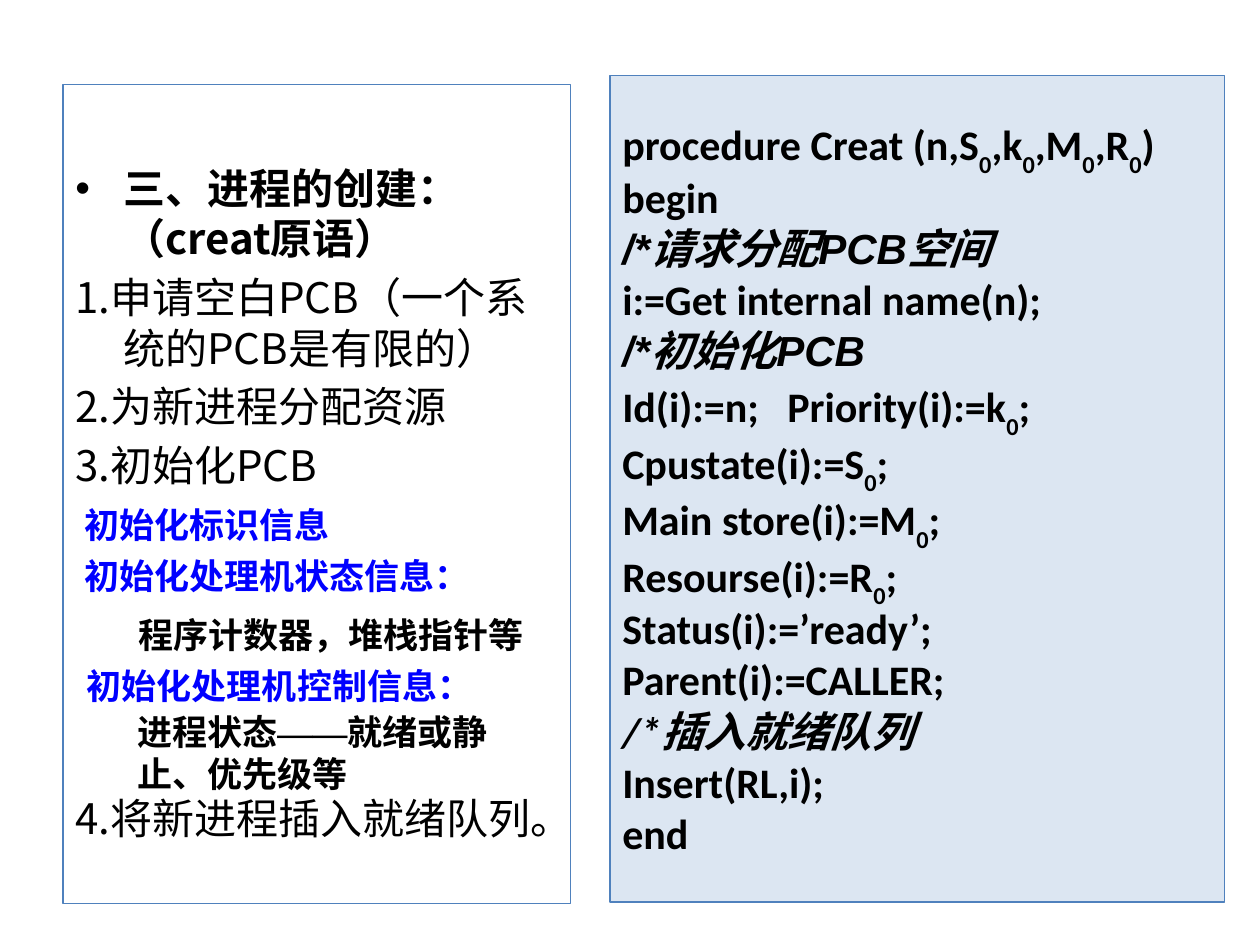
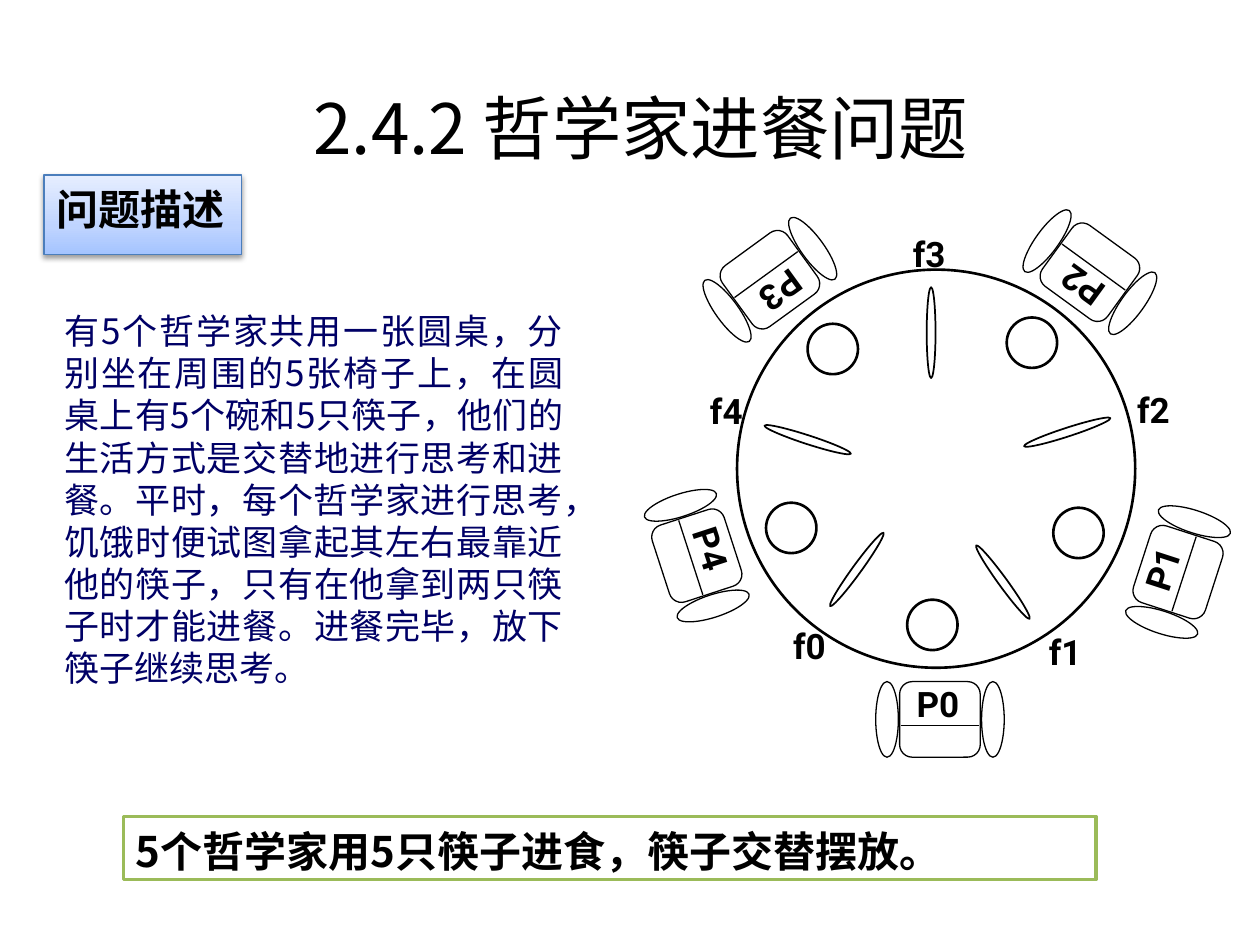
"""Build two operating-system slides: process creation and the dining philosophers."""
import copy
import math

import pptx
import pptx.dml.color
import pptx.enum.shapes
import pptx.enum.text
import pptx.oxml.ns
import pptx.util
from lxml import etree

Inches = pptx.util.Inches
Pt = pptx.util.Pt
RGBColor = pptx.dml.color.RGBColor
SHAPES = pptx.enum.shapes.MSO_SHAPE
ALIGN = pptx.enum.text.PP_ALIGN
qn = pptx.oxml.ns.qn

BLACK = RGBColor(0x00, 0x00, 0x00)
WHITE = RGBColor(0xFF, 0xFF, 0xFF)
BLUE = RGBColor(0x00, 0x00, 0xFF)
NAVY = RGBColor(0x00, 0x00, 0x66)
PANEL_LINE = RGBColor(0x4F, 0x81, 0xBD)
PANEL_FILL = RGBColor(0xDC, 0xE6, 0xF2)
TAG_LINE = RGBColor(0x4B, 0x7E, 0xBC)
NOTE_LINE = RGBColor(0x9B, 0xBB, 0x59)
TAG_STOPS = [
    (0, RGBColor(0xA4, 0xC4, 0xFF)),
    (0.35, RGBColor(0xBF, 0xD4, 0xFF)),
    (1, RGBColor(0xE6, 0xEE, 0xFF)),
]

CJK_FONT = "Noto Sans CJK SC"
CODE_FONT = "Calibri"
LABEL_FONT = "Roboto"
PITCH = 1.2
STEP = 72

CREATE_STEPS = [
    ("三、进程的创建：（creat原语）", 0),
    ("1.申请空白PCB（一个系统的PCB是有限的）", 4.8),
    ("2.为新进程分配资源", 4.8),
    ("3.初始化PCB", 4.8),
    ("4.将新进程插入就绪队列。", 172.7),
]
CODE_LINES = [
    "procedure Creat (n,S_0,k_0,M_0,R_0)",
    "begin",
    "/*请求分配PCB空间",
    "i:=Get internal name(n);",
    "/*初始化PCB",
    "Id(i):=n;\tPriority(i):=k_0;",
    "Cpustate(i):=S_0;",
    "Main store(i):=M_0;",
    "Resourse(i):=R_0;",
    "Status(i):=’ready’;",
    "Parent(i):=CALLER;",
    "/*插入就绪队列",
    "Insert(RL,i);",
    "end",
]
PROBLEM = (
    "有5个哲学家共用一张圆桌，分别坐在周围的5张椅子上，在圆桌上有5个碗和5只筷子，"
    "他们的生活方式是交替地进行思考和进餐。平时，每个哲学家进行思考，"
    "饥饿时便试图拿起其左右最靠近他的筷子，只有在他拿到两只筷子时才能进餐。"
    "进餐完毕，放下筷子继续思考。"
)
SEATS = [(7.46, 5.71), (9.35, 4.54), (8.65, 2.16), (6.11, 2.22), (5.53, 4.41)]
BOWLS = [(7.4, 4.96), (8.56, 4.23), (8.19, 2.72), (6.61, 2.77), (6.28, 4.19)]
CHOPSTICKS = [(6.8, 4.52), (7.96, 4.62), (8.47, 3.43), (7.39, 2.64), (6.41, 3.49)]
CHOPSTICK_LABELS = [(6.45, 5.12), (8.48, 5.17), (9.18, 3.25), (7.4, 2.01), (5.79, 3.26)]


def set_frame(shape, side=0.1, top=0.07):
    """Prepare a wrapped, top-anchored text frame."""
    frame = shape.text_frame
    frame.word_wrap = True
    frame.auto_size = pptx.enum.text.MSO_AUTO_SIZE.NONE
    frame.vertical_anchor = pptx.enum.text.MSO_ANCHOR.TOP
    frame.margin_left = frame.margin_right = Inches(side)
    frame.margin_top = Inches(top)
    frame.margin_bottom = 0
    return frame


def add_paragraph(frame, align=ALIGN.LEFT, before=0, spacing=None):
    """Return the next paragraph, using the first one while it is empty."""
    paragraph = frame.paragraphs[0]
    if paragraph.runs:
        paragraph = frame.add_paragraph()
    paragraph.alignment = align
    paragraph.space_before = Pt(before)
    paragraph.line_spacing = spacing
    return paragraph


def add_run(paragraph, text, size, color=BLACK, bold=True, font=CJK_FONT):
    """Add one formatted run, naming the East Asian font where it matters."""
    run = paragraph.add_run()
    run.text = text
    run.font.size = Pt(size)
    run.font.name = font
    run.font.bold = bold
    run.font.color.rgb = color
    if font not in (CODE_FONT, "Arial"):
        etree.SubElement(run.font._element, qn("a:ea")).set("typeface", font)
    return run


def add_cjk(frame, text, size, color=BLACK, bold=True, align=ALIGN.LEFT, before=0):
    """Add a Chinese paragraph with a fixed line pitch."""
    paragraph = add_paragraph(frame, align, before, Pt(size * PITCH))
    add_run(paragraph, text, size, color, bold)
    return paragraph


def add_text(slide, left, top, width, height, **insets):
    """Add a text box and return its frame."""
    box = slide.shapes.add_textbox(*map(Inches, (left, top, width, height)))
    return set_frame(box, **insets)


def add_box(slide, left, top, width, height, line, weight=0.75, fill=None, kind=SHAPES.RECTANGLE):
    """Add an outlined shape without a shadow."""
    box = slide.shapes.add_shape(kind, *map(Inches, (left, top, width, height)))
    box.shadow.inherit = False
    box.line.color.rgb = line
    box.line.width = Pt(weight)
    if fill is None:
        box.fill.background()
    else:
        box.fill.solid()
        box.fill.fore_color.rgb = fill
    return box


def add_centred(slide, centre, width, height, weight=0.75, angle=0, kind=SHAPES.OVAL):
    """Add a black outline around a centre point, turned by an angle."""
    x, y = centre
    outline = add_box(slide, x - width / 2, y - height / 2, width, height, BLACK, weight, kind=kind)
    outline.rotation = angle
    return outline


def add_label(slide, centre, text, width, angle=0):
    """Add a short bold label around a centre point."""
    x, y = centre
    height = 0.43
    box = slide.shapes.add_textbox(*map(Inches, (x - width / 2, y - height / 2, width, height)))
    box.rotation = angle
    add_run(add_paragraph(set_frame(box, side=0.06, top=0.05)), text, 20, font=LABEL_FONT)


def add_chair(slide, centre, angle, name):
    """Draw a chair with two arms, a back line and its philosopher."""
    cos, sin = math.cos(math.radians(angle)), math.sin(math.radians(angle))

    def place(dx, dy):
        """Turn an offset from the seat centre into a slide position."""
        return centre[0] + dx * cos - dy * sin, centre[1] + dx * sin + dy * cos

    add_centred(slide, centre, 0.64, 0.6, angle=angle, kind=SHAPES.ROUNDED_RECTANGLE)
    for side in (0.42, -0.42):
        add_centred(slide, place(side, 0), 0.18, 0.6, angle=angle)
    ends = map(Inches, place(-0.31, 0.05) + place(0.31, 0.05))
    back = slide.shapes.add_connector(pptx.enum.shapes.MSO_CONNECTOR.STRAIGHT, *ends)
    back.line.color.rgb = BLACK
    back.line.width = Pt(0.75)
    etree.SubElement(back._element.spPr, qn("a:effectLst"))
    add_label(slide, place(0, -0.13), name, 0.49, angle)


def add_code_line(frame, line, before):
    """Add a line of pseudocode; an underscore marks a subscript digit."""
    comment = line.startswith("/*")
    font = "Arial" if comment and "PCB" in line else CODE_FONT
    paragraph = add_paragraph(frame, ALIGN.JUSTIFY, before, 0.6)
    head, *tails = line.split("_")
    add_run(paragraph, head, 24, font=font).font.italic = comment
    for tail in tails:
        subscript = add_run(paragraph, tail[0], 24, font=font)
        subscript.font._element.set("baseline", "-30000")
        if tail[1:]:
            add_run(paragraph, tail[1:], 24, font=font)
    if "\t" in line:
        stops = etree.SubElement(paragraph._p.get_or_add_pPr(), qn("a:tabLst"))
        etree.SubElement(stops, qn("a:tab"), pos=str(Inches(1.31)), algn="l")


def add_tag(slide, text):
    """Add the shaded heading tag with its gradient and soft shadow."""
    tag = add_box(slide, 0.35, 1.39, 1.57, 0.63, TAG_LINE)
    tag.fill.gradient()
    tag.fill.gradient_angle = 90
    properties = tag._element.spPr
    stops = properties.find(".//" + qn("a:gsLst"))
    stops.insert(1, copy.deepcopy(stops[0]))
    for stop, (position, color) in zip(tag.fill.gradient_stops, TAG_STOPS):
        stop.position = position
        stop.color.rgb = color
    shadow = etree.SubElement(
        properties.find(qn("a:effectLst")), qn("a:outerShdw"),
        blurRad=str(Pt(3.1)), dist=str(Pt(1.6)), dir="5400000", rotWithShape="0")
    shade = etree.SubElement(shadow, qn("a:srgbClr"), val=str(BLACK))
    etree.SubElement(shade, qn("a:alpha"), val="38000")
    add_cjk(set_frame(tag), text, 24)


def build_creation(presentation):
    """Build the slide on process creation and its pseudocode."""
    slide = presentation.slides.add_slide(presentation.slide_layouts[6])
    steps = set_frame(add_box(slide, 0.5, 0.67, 4.03, 6.5, PANEL_LINE), top=0.62)
    for number, (text, before) in enumerate(CREATE_STEPS):
        paragraph = add_cjk(steps, text, 24, bold=number == 0, before=before)
        properties = paragraph._p.get_or_add_pPr()
        properties.set("marL", str(Inches(0.38)))
        properties.set("indent", str(Inches(-0.38)))
        if number == 0:
            etree.SubElement(properties, qn("a:buFont"), typeface="Arial")
            etree.SubElement(properties, qn("a:buChar"), char="•")

    code = set_frame(add_box(slide, 4.84, 0.6, 4.88, 6.56, PANEL_LINE, fill=PANEL_FILL), top=0.45)
    for number, line in enumerate(CODE_LINES):
        add_code_line(code, line, 12 if number else 0)

    identity = add_text(slide, 0.57, 3.93, 4.24, 0.86)
    add_cjk(identity, "初始化标识信息", 20, BLUE)
    add_cjk(identity, "初始化处理机状态信息：", 20, BLUE, before=5)
    add_cjk(add_text(slide, 1, 4.8, 3.92, 0.44), "程序计数器，堆栈指针等", 20)
    state = add_cjk(add_text(slide, 0.99, 5.57, 3.06, 0.77), "进程状态", 20)
    add_run(state, "——", 20, font="Times New Roman")
    add_run(state, "就绪或静止、优先级等", 20)
    add_cjk(add_text(slide, 0.59, 5.2, 3.46, 0.44), "初始化处理机控制信息：", 20, BLUE)


def build_philosophers(presentation):
    """Build the slide on the dining philosophers."""
    slide = presentation.slides.add_slide(presentation.slide_layouts[5])
    title = slide.shapes.title
    title.left, title.top, title.width, title.height = map(Inches, (0.42, 0.58, 9.33, 0.6))
    title.fill.solid()
    title.fill.fore_color.rgb = WHITE
    add_cjk(set_frame(title, top=0.1), "2.4.2 哲学家进餐问题", 39.6, bold=False, align=ALIGN.CENTER)

    add_tag(slide, "问题描述")
    note = add_box(slide, 0.98, 6.48, 7.72, 0.5, NOTE_LINE, 2, WHITE)
    add_cjk(set_frame(note), "5个哲学家用5只筷子进食，筷子交替摆放。", 24)

    for number, seat in enumerate(SEATS):
        add_chair(slide, seat, -STEP * number % 360, f"P{number}")
    add_centred(slide, (7.43, 3.72), 3.16, 3.16, 1.5)
    for bowl in BOWLS:
        add_centred(slide, bowl, 0.4, 0.4, 1.5)
    for number, (chopstick, label) in enumerate(zip(CHOPSTICKS, CHOPSTICK_LABELS)):
        add_centred(slide, chopstick, 0.72, 0.07, 1, 306 - STEP * number)
        add_label(slide, label, f"f{number}", 0.43)

    problem = add_text(slide, 0.45, 2.39, 4.08, 3.13, side=0.06)
    add_cjk(problem, PROBLEM, 20, NAVY, bold=False, align=ALIGN.JUSTIFY)


def main():
    """Build and save the presentation."""
    presentation = pptx.Presentation()
    presentation.slide_width = Inches(10)
    presentation.slide_height = Inches(7.5)
    build_creation(presentation)
    build_philosophers(presentation)
    presentation.save("out.pptx")


if __name__ == "__main__":
    main()
